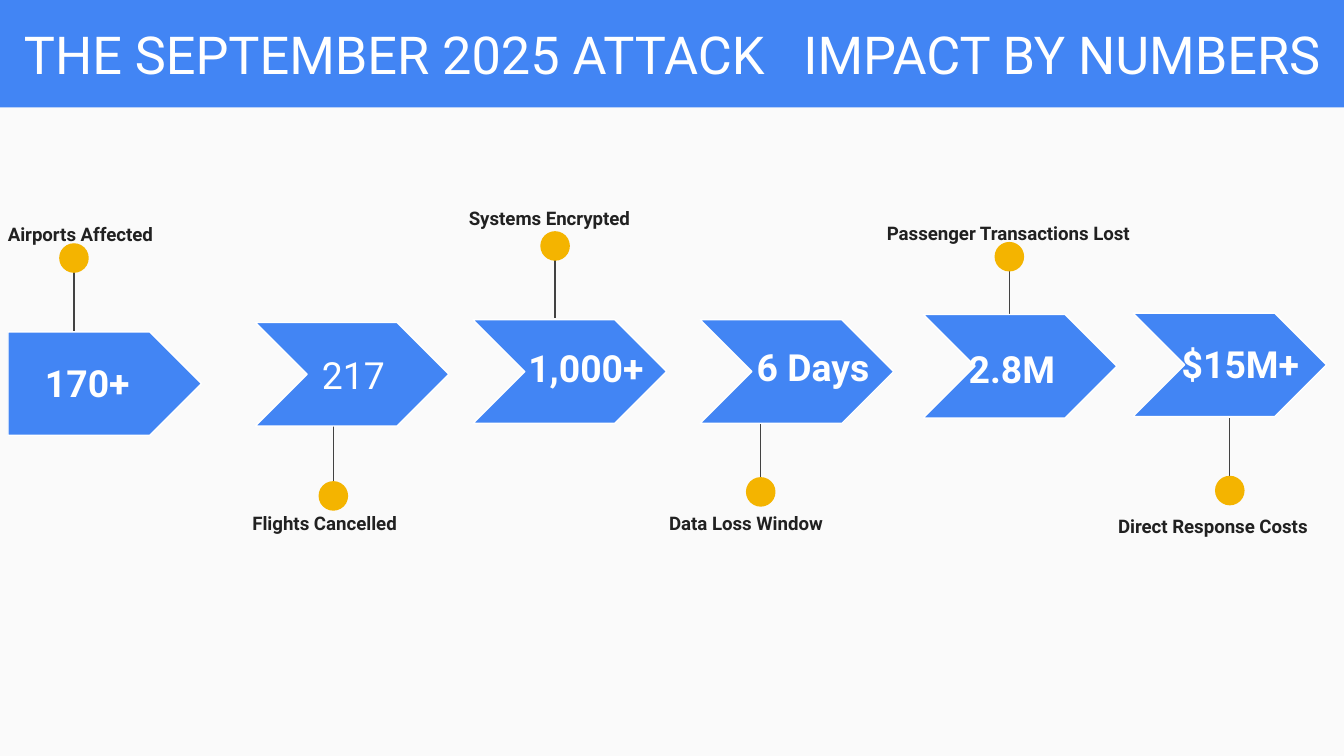
"""Builds a slide of arrows showing the impact of the September 2025 attack."""
from dataclasses import dataclass

from lxml import etree
from pptx import Presentation
from pptx.dml.color import RGBColor
from pptx.enum.shapes import MSO_CONNECTOR, MSO_SHAPE
from pptx.enum.text import MSO_ANCHOR, PP_ALIGN
from pptx.oxml.ns import qn
from pptx.util import Inches, Pt

RECTANGLE = MSO_SHAPE.RECTANGLE
OVAL = MSO_SHAPE.OVAL
PENTAGON = MSO_SHAPE.PENTAGON
CHEVRON = MSO_SHAPE.CHEVRON
STRAIGHT = MSO_CONNECTOR.STRAIGHT
TOP, MIDDLE = MSO_ANCHOR.TOP, MSO_ANCHOR.MIDDLE
LEFT, CENTER = PP_ALIGN.LEFT, PP_ALIGN.CENTER

BACKGROUND = RGBColor(0xFA, 0xFA, 0xFA)
BLUE = RGBColor(0x42, 0x85, 0xF4)
AMBER = RGBColor(0xF4, 0xB4, 0x00)
WHITE = RGBColor(0xFF, 0xFF, 0xFF)
STEM_GRAY = RGBColor(0x42, 0x42, 0x42)
INK = RGBColor(0x21, 0x21, 0x21)

FONT = "Roboto"
SLIDE_WIDTH = Inches(10)
SLIDE_HEIGHT = SLIDE_WIDTH * 9 // 16
ARROW_WIDTH, ARROW_HEIGHT = 1.44, 0.77
FIGURE_HEIGHT = 0.51
DOT_SIZE = 0.22
DOT_INSET = 0.06
STEM_LENGTH = 0.6


@dataclass
class Stage:
    """One arrow with its figure, its pin and its caption; positions in inches."""
    figure: str
    caption: str
    arrow_at: tuple
    figure_at: tuple
    pin_at: tuple
    caption_at: tuple
    caption_width: float
    above: bool
    arrow: int = CHEVRON
    bold: bool = True


STAGES = [
    Stage("170+", "Airports Affected", (0.06, 2.47), (-0.07, 2.59),
          (0.55, 1.86), (-0.04, 1.54), 1.6, True, arrow=PENTAGON),
    Stage("217", "Flights Cancelled", (1.9, 2.4), (1.91, 2.53),
          (2.48, 3.75), (1.78, 3.69), 1.6, False, bold=False),
    Stage("1,000+", "Systems Encrypted", (3.52, 2.38), (3.64, 2.48),
          (4.13, 1.77), (3.39, 1.42), 1.44, True),
    Stage("6 Days", "Data Loss Window", (5.21, 2.38), (5.33, 2.47),
          (5.66, 3.72), (4.88, 3.69), 1.85, False),
    Stage("2.8M", "Passenger Transactions Lost", (6.87, 2.34), (6.81, 2.49),
          (7.51, 1.85), (6.5, 1.53), 2.22, True),
    Stage("$15M+", "Direct Response Costs", (8.43, 2.33), (8.51, 2.45),
          (9.15, 3.71), (8.22, 3.71), 2.45, False),
]


def add_filled(slide, preset, left, top, width, height, color, outline=None):
    """Add a flat preset shape, with a thin outline if a colour is given."""
    shape = slide.shapes.add_shape(
        preset, Inches(left), Inches(top), Inches(width), Inches(height))
    shape.shadow.inherit = False
    shape.fill.solid()
    shape.fill.fore_color.rgb = color
    if outline is None:
        shape.line.fill.background()
    else:
        shape.line.color.rgb = outline
        shape.line.width = Pt(0.75)
    return shape


def set_font(paragraph, size, color, bold):
    """Set the font of a whole paragraph."""
    paragraph.font.name = FONT
    paragraph.font.size = Pt(size)
    paragraph.font.bold = bold
    paragraph.font.color.rgb = color


def add_text(slide, text, position, width, height, size, color, bold, align, anchor):
    """Add a wrapped one-paragraph text box and return its paragraph."""
    left, top = position
    frame = slide.shapes.add_textbox(
        Inches(left), Inches(top), Inches(width), Inches(height)).text_frame
    frame.word_wrap = True
    frame.vertical_anchor = anchor
    frame.margin_left = frame.margin_right = Inches(0.1)
    frame.margin_top = frame.margin_bottom = Inches(0.1)
    paragraph = frame.paragraphs[0]
    paragraph.text = text
    paragraph.alignment = align
    set_font(paragraph, size, color, bold)
    return paragraph


def add_pin(slide, tip, above):
    """Add a stem from its tip towards the arrow, with a dot near the tip."""
    x, y = tip
    direction = 1 if above else -1
    stem = slide.shapes.add_connector(
        STRAIGHT, Inches(x), Inches(y),
        Inches(x), Inches(y + direction * STEM_LENGTH))
    stem.line.color.rgb = STEM_GRAY
    stem.line.width = Pt(0.75)
    etree.SubElement(stem._element.spPr, qn("a:effectLst"))
    radius = DOT_SIZE / 2
    add_filled(slide, OVAL, x - radius, y + direction * DOT_INSET - radius,
               DOT_SIZE, DOT_SIZE, AMBER)


def add_stage(slide, stage):
    """Add a pin, the arrow that covers its end, the figure and the caption."""
    add_pin(slide, stage.pin_at, stage.above)
    add_filled(slide, stage.arrow, *stage.arrow_at, ARROW_WIDTH, ARROW_HEIGHT,
               BLUE, WHITE)
    add_text(slide, stage.figure, stage.figure_at, ARROW_WIDTH, FIGURE_HEIGHT,
             20, WHITE, stage.bold, CENTER, MIDDLE)
    caption = add_text(slide, stage.caption, stage.caption_at, stage.caption_width,
                       0.43 if stage.above else 0.34, 10, INK, True, LEFT, TOP)
    caption.line_spacing = 1.15
    caption.space_after = Pt(16)


def add_title(slide):
    """Add the title band, its two halves parted by a widened space."""
    band = add_filled(slide, RECTANGLE, 0, 0, 10, 0.8, BLUE)
    band.text_frame.vertical_anchor = MIDDLE
    title = band.text_frame.paragraphs[0]
    title.alignment = CENTER
    set_font(title, 28, WHITE, False)
    title.add_run().text = "THE SEPTEMBER 2025 ATTACK"
    gap = title.add_run()
    gap.text = " "
    gap._r.get_or_add_rPr().set("spc", "1400")
    title.add_run().text = "IMPACT BY NUMBERS"


def main():
    """Build the slide and save it."""
    deck = Presentation()
    deck.slide_width, deck.slide_height = SLIDE_WIDTH, SLIDE_HEIGHT
    slide = deck.slides.add_slide(deck.slide_layouts[6])
    slide.background.fill.solid()
    slide.background.fill.fore_color.rgb = BACKGROUND
    for stage in STAGES:
        add_stage(slide, stage)
    add_title(slide)
    deck.save("out.pptx")


if __name__ == "__main__":
    main()
